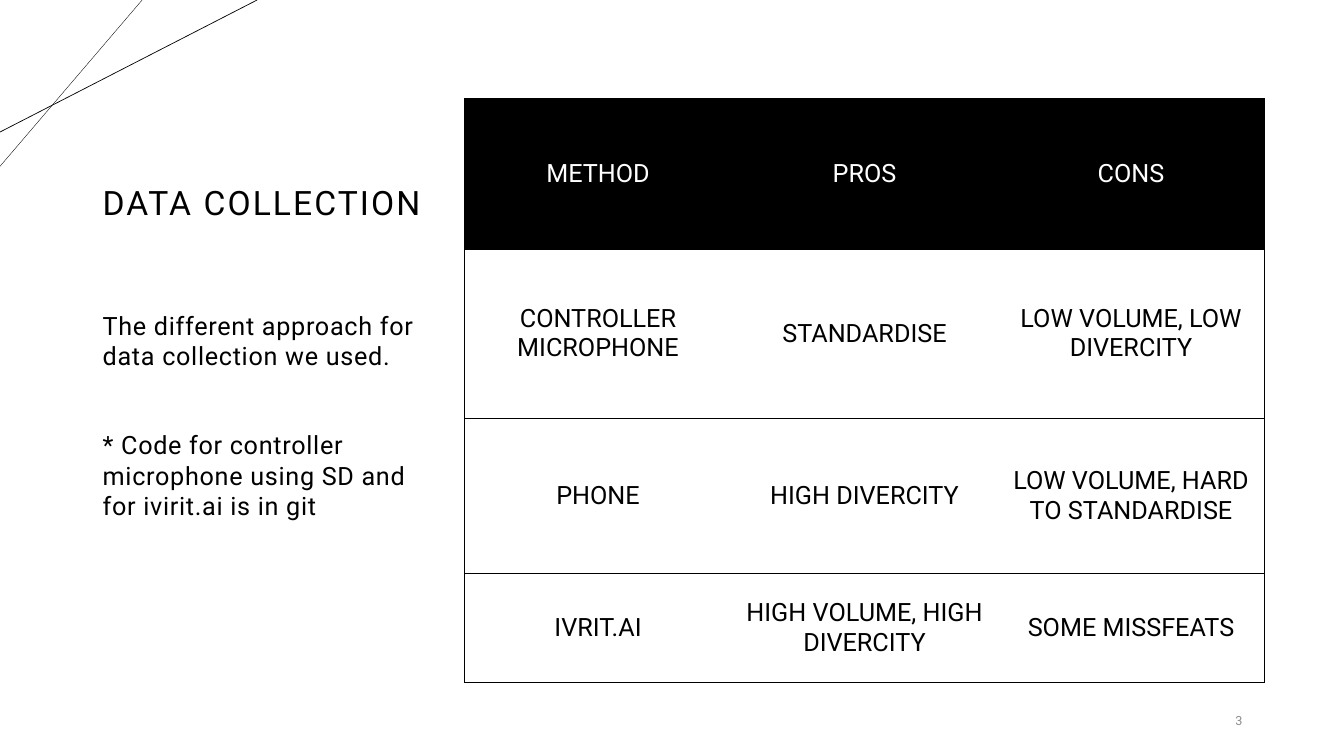
from lxml import etree
from pptx import Presentation
from pptx import util as u
from pptx.dml.color import RGBColor
from pptx.enum import shapes, text
from pptx.oxml import ns

TITLE = "DATA COLLECTION"
NOTES = [
    "The different approach for data collection we used.",
    "* Code for controller microphone using SD and for ivirit.ai is in git",
]
METHODS = [
    ("METHOD", "PROS", "CONS"),
    ("CONTROLLER MICROPHONE", "STANDARDISE", "LOW VOLUME, LOW DIVERCITY"),
    ("PHONE", "HIGH DIVERCITY", "LOW VOLUME, HARD TO STANDARDISE"),
    ("IVRIT.AI", "HIGH VOLUME, HIGH DIVERCITY", "SOME MISSFEATS"),
]
PAGE_NUMBER = "3"
CORNER_LINES = [(1.41, 1.65, 0.25), (2.55, 1.31, 0.5)]

FONT = "Roboto"
BLACK = RGBColor(0, 0, 0)
WHITE = RGBColor(255, 255, 255)
GREY = RGBColor(0x8C, 0x8C, 0x8C)

LEFT, TOP = 0.92, 0.98
TEXT_WIDTH = 3.55
TITLE_HEIGHT, NOTES_HEIGHT = 2.1, 3.54
TABLE_LEFT, TABLE_WIDTH = 4.61, 7.93
ROW_HEIGHTS = [1.49, 1.68, 1.54, 1.08]
BORDER_WIDTH = 0.5


def style(paragraph, size, color, align=text.PP_ALIGN.LEFT):
    paragraph.alignment = align
    paragraph.font.name = FONT
    paragraph.font.size = u.Pt(size)
    paragraph.font.color.rgb = color


def add_text(slide, box, lines, size, color, anchor=text.MSO_ANCHOR.MIDDLE,
             align=text.PP_ALIGN.LEFT, tracking=0, gap=0):
    frame = slide.shapes.add_textbox(*map(u.Inches, box)).text_frame
    frame.word_wrap = True
    frame.vertical_anchor = anchor
    for index, line in enumerate(lines):
        paragraph = frame.add_paragraph() if index else frame.paragraphs[0]
        run = paragraph.add_run()
        run.text = line
        style(paragraph, size, color, align)
        if tracking:
            run._r.get_or_add_rPr().set("spc", str(int(tracking * 100)))
        if index:
            paragraph.space_before = u.Pt(gap)
    return frame


def add_corner_line(slide, across, down, width):
    line = slide.shapes.add_connector(
        shapes.MSO_CONNECTOR.STRAIGHT, u.Inches(across), 0, 0, u.Inches(down))
    line.line.color.rgb = BLACK
    line.line.width = u.Pt(width)
    etree.SubElement(line._element.spPr, ns.qn("a:effectLst"))


def set_borders(cell, visible_sides):
    properties = cell._tc.get_or_add_tcPr()
    for side in "LRTB":
        border = etree.SubElement(properties, ns.qn("a:ln" + side))
        border.set("w", str(u.Pt(BORDER_WIDTH)))
        if side in visible_sides:
            fill = etree.SubElement(border, ns.qn("a:solidFill"))
            etree.SubElement(fill, ns.qn("a:srgbClr")).set("val", str(BLACK))
        else:
            etree.SubElement(border, ns.qn("a:noFill"))


def add_methods_table(slide):
    column_count = len(METHODS[0])
    table = slide.shapes.add_table(
        len(METHODS), column_count, u.Inches(TABLE_LEFT), u.Inches(TOP),
        u.Inches(TABLE_WIDTH), u.Inches(sum(ROW_HEIGHTS))).table
    table.first_row = table.horz_banding = False
    for row, height in zip(table.rows, ROW_HEIGHTS):
        row.height = u.Inches(height)
    for row, entries in enumerate(METHODS):
        for column, entry in enumerate(entries):
            cell = table.cell(row, column)
            sides = "TB"
            if column == 0:
                sides += "L"
            if column == column_count - 1:
                sides += "R"
            set_borders(cell, sides)
            if row == 0:
                cell.fill.solid()
                cell.fill.fore_color.rgb = BLACK
            else:
                cell.fill.background()
            cell.text = entry
            cell.vertical_anchor = text.MSO_ANCHOR.MIDDLE
            style(cell.text_frame.paragraphs[0], 18,
                  BLACK if row else WHITE, text.PP_ALIGN.CENTER)


def main():
    presentation = Presentation()
    presentation.slide_width = u.Inches(13.33)
    presentation.slide_height = u.Inches(7.5)
    slide = presentation.slides.add_slide(presentation.slide_layouts[6])
    for corner_line in CORNER_LINES:
        add_corner_line(slide, *corner_line)
    title = add_text(slide, (LEFT, TOP, TEXT_WIDTH, TITLE_HEIGHT), [TITLE], 24,
                     BLACK, tracking=1.5)
    title.paragraphs[0].line_spacing = 0.9
    notes = add_text(
        slide, (LEFT, TOP + TITLE_HEIGHT, TEXT_WIDTH, NOTES_HEIGHT), NOTES, 18,
        BLACK, anchor=text.MSO_ANCHOR.TOP, tracking=0.5, gap=42)
    notes.margin_top = 0
    add_methods_table(slide)
    add_text(slide, (11.34, 6.95, 1.08, 0.4), [PAGE_NUMBER], 9, GREY,
             align=text.PP_ALIGN.RIGHT)
    presentation.save("out.pptx")


if __name__ == "__main__":
    main()
